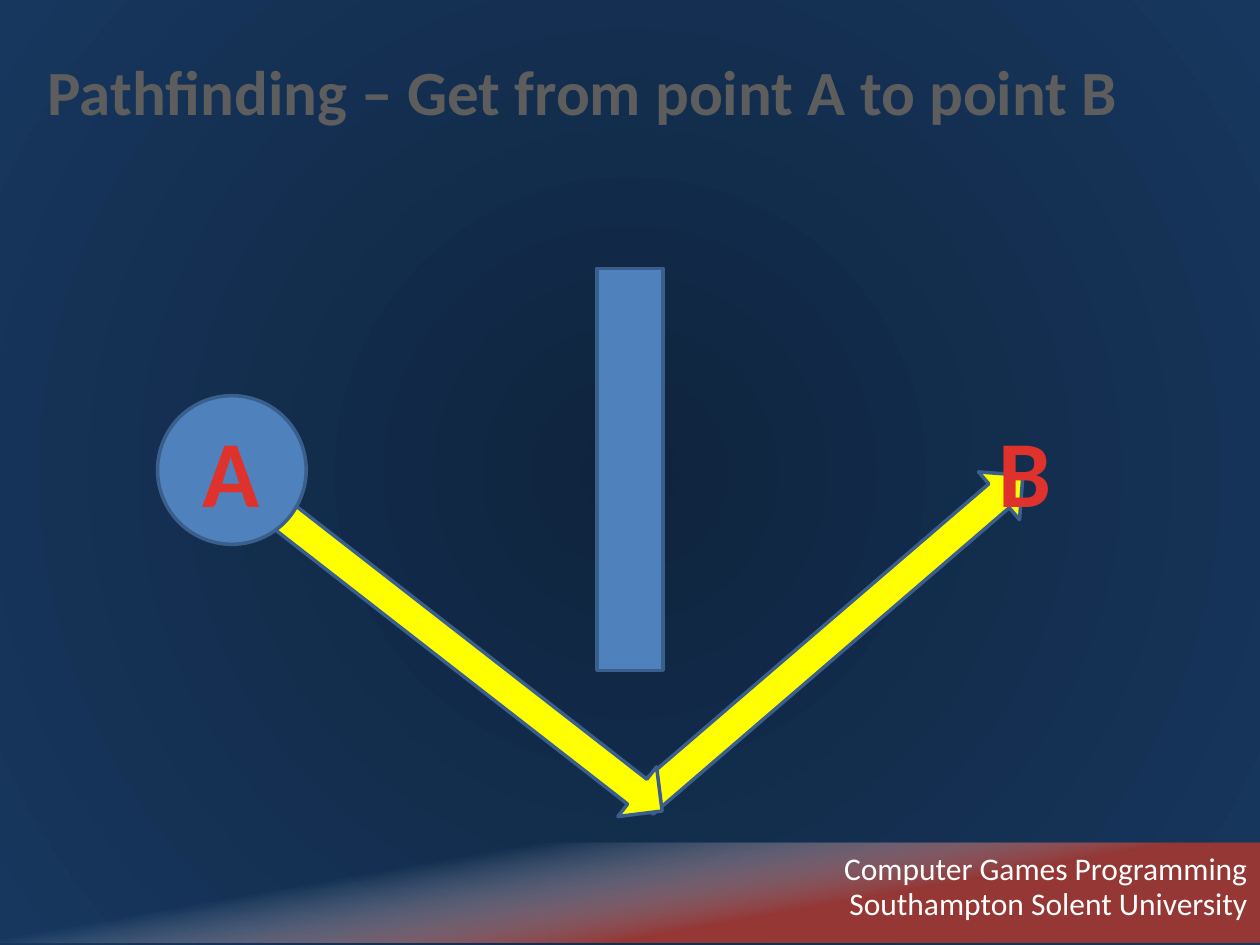
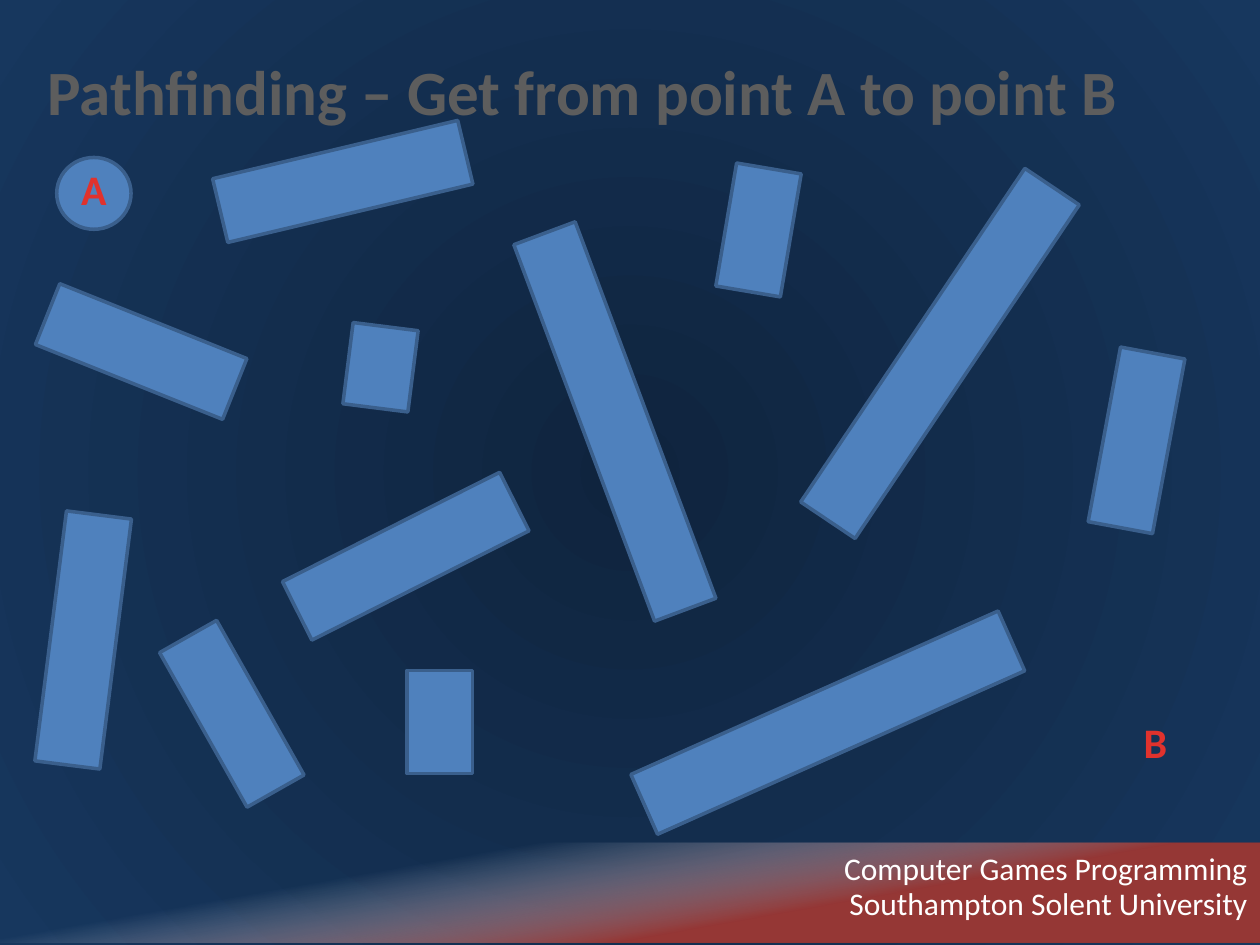
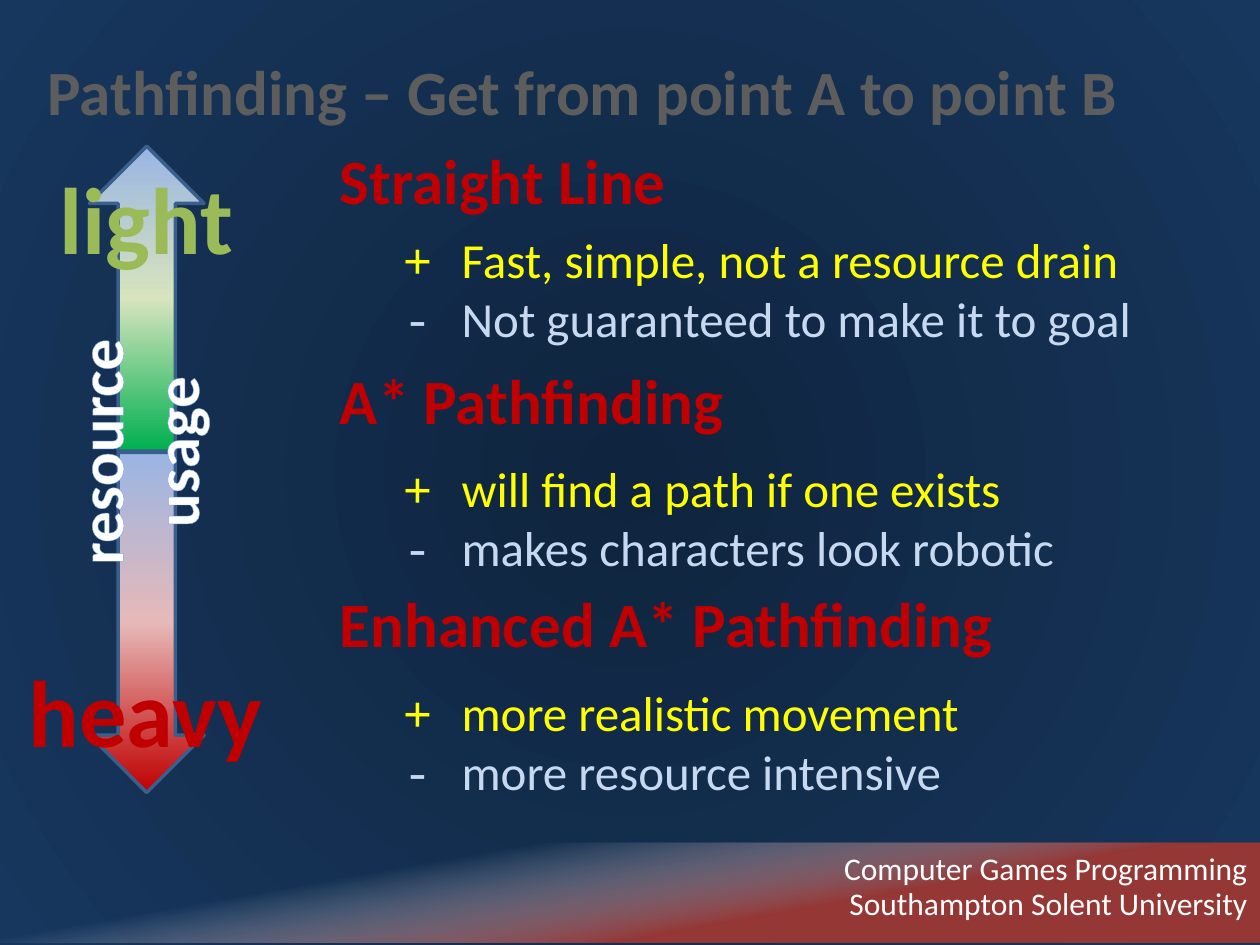
from lxml.etree import SubElement
from pptx import Presentation
from pptx.dml.color import RGBColor
from pptx.enum.shapes import MSO_SHAPE as Shape
from pptx.enum.text import MSO_AUTO_SIZE as AutoSize, PP_ALIGN as Align
from pptx.oxml.ns import qn
from pptx.oxml.xmlchemy import OxmlElement
from pptx.util import Inches, Pt

COLUMNS, ROWS = 100, 75
BLUE, EDGE, YELLOW, PALE = "4F81BD", "3A5F8C", "FFFF00", "C6D9F1"
WHITE, GREEN, RED, GLOW = "FFFFFF", "9BBB59", "C00000", "7EA6EA"
WALL_WIDTH = 5.2
TITLE = "Pathfinding – Get from point A to point B"
FOOTER = [("Computer Games Programming", 65.6, 66.9, 34.4),
          ("Southampton Solent University", 64.8, 69.7, 35.2)]

NIGHT = [(0, "0F243E"), (100, "17375E")]
BAND = [(31, "DCE6F2", 0), (65, "953735")]
GREY_TEXT = [(0, "555555"), (49, "5D5D5D"), (50, "000000"), (100, "000000")]
RED_TEXT = [(0, "FF0000"), (49, RED), (100, RED)]
POINT_TEXT = [(25, "E0322D"), (100, "A2201C")]
LIGHT_USAGE = [(0, "9AB5E4"), (50, "D7E4BD"), (100, "00B050")]
HEAVY_USAGE = [(0, "9AB5E4"), (50, "E6B9B8"), (100, RED)]

# Each style: font attributes, fill (a colour or gradient stops), outline (colour, points)
STYLES = {
    "title": (dict(size=Pt(36), bold=True), GREY_TEXT, (WHITE, 1.4)),
    "heading": (dict(size=Pt(36), bold=True), RED_TEXT, (WHITE, 1.4)),
    "point": (dict(size=Pt(54), bold=True), POINT_TEXT, None),
    "small point": (dict(size=Pt(24), bold=True), POINT_TEXT, None),
    "pro": (dict(size=Pt(28)), YELLOW, None),
    "con": (dict(size=Pt(28)), PALE, None),
    "axis": (dict(size=Pt(36), bold=True), WHITE, (GLOW, 2.48)),
    "light": (dict(size=Pt(54), bold=True), GREEN, (WHITE, 1.5)),
    "heavy": (dict(size=Pt(54), bold=True), RED, (WHITE, 1.5)),
    "footer": (dict(size=Pt(18)), WHITE, None),
}


def colour(code):
    return RGBColor.from_string(code)


def paint(fill, owner, look, angle=90):
    """Fill with one colour, or with gradient stops; no angle makes the gradient circular."""
    fill.solid()
    if isinstance(look, str):
        fill.fore_color.rgb = colour(look)
        return
    gradient = OxmlElement("a:gradFill")
    gradient.set("rotWithShape", "1")
    stops = SubElement(gradient, qn("a:gsLst"))
    for position, code, *alpha in look:
        stop = SubElement(stops, qn("a:gs"), pos=str(position * 1000))
        tone = SubElement(stop, qn("a:srgbClr"), val=code)
        for share in alpha:
            SubElement(tone, qn("a:alpha"), val=str(share * 1000))
    if angle is None:
        circle = SubElement(gradient, qn("a:path"))
        circle.set("path", "circle")
        SubElement(circle, qn("a:fillToRect"), l="50000", t="50000", r="50000", b="50000")
    else:
        SubElement(gradient, qn("a:lin"), ang=str(angle * 60000), scaled="0")
    plain = next(owner.iter(qn("a:solidFill")))
    plain.getparent().replace(plain, gradient)


class Lesson:
    """The deck, its shared style and the slide being filled."""

    def __init__(self):
        self.deck = Presentation()
        self.deck.slide_width, self.deck.slide_height = Inches(10), Inches(7.5)
        master = self.deck.slide_master
        paint(master.background.fill, master.element, NIGHT, angle=None)

    def place(self, left, top, width, height):
        """Turn grid columns and rows into slide lengths."""
        column, row = self.deck.slide_width / COLUMNS, self.deck.slide_height / ROWS
        return (round(left * column), round(top * row),
                round(width * column), round(height * row))

    def start(self):
        page = self.deck.slides.add_slide(self.deck.slide_layouts[6])
        self.shapes = page.shapes
        self.text(TITLE, "title", 2.8, 3.7, 94.2, 7.1)

    def finish(self):
        """Add the footer band with its two lines as one group."""
        self.shapes = self.shapes.add_group_shape().shapes
        self.shape(Shape.RECTANGLE, BAND, -3.5, 66.9, 104.7, 7.9, angle=80, edged=False)
        for line, left, top, width in FOOTER:
            self.text(line, "footer", left, top, width, 4, Align.RIGHT, wrap=False)

    def shape(self, kind, look, *area, turn=0, angle=90, edged=True):
        shape = self.shapes.add_shape(kind, *self.place(*area))
        shape.shadow.inherit = False
        shape.rotation = turn
        paint(shape.fill, shape.element, look, angle)
        if edged:
            shape.line.color.rgb = colour(EDGE)
            shape.line.width = Pt(2)
        else:
            shape.line.fill.background()

    def wall(self, left, top, length, turn=0):
        self.shape(Shape.RECTANGLE, BLUE, left, top, WALL_WIDTH, length, turn=turn)

    def frame(self, *area, wrap=True):
        frame = self.shapes.add_textbox(*self.place(*area)).text_frame
        frame.word_wrap = wrap
        frame.auto_size = AutoSize.SHAPE_TO_FIT_TEXT
        return frame

    def span(self, para, words, style, face="Calibri"):
        attributes, look, outline = STYLES[style]
        span = para.add_run()
        span.text = words
        for name, value in dict(attributes, name=face).items():
            setattr(span.font, name, value)
        properties = span.font._element
        paint(span.font.fill, properties, look)
        if look is POINT_TEXT:
            properties.set("spc", "50")
        if outline:
            code, points = outline
            line = OxmlElement("a:ln")
            line.set("w", str(Pt(points)))
            SubElement(SubElement(line, qn("a:solidFill")), qn("a:srgbClr"), val=code)
            properties.insert(0, line)

    def text(self, lines, style, left, top, width, height,
             align=Align.LEFT, wrap=True, vertical=False):
        frame = self.frame(left, top, width, height, wrap=wrap)
        if vertical:
            frame._txBody.bodyPr.set("vert", "vert270")
        for number, words in enumerate(lines.split("\n")):
            para = frame.add_paragraph() if number else frame.paragraphs[0]
            para.alignment = align
            self.span(para, words, style)

    def label(self, words, style, *area, vertical=False):
        self.text(words, style, *area, Align.CENTER, wrap=False, vertical=vertical)

    def method(self, heading, heading_top, list_top, pro, con):
        """A pathfinding method with its advantage and its drawback."""
        self.text(heading, "heading", 26, heading_top, 73.3, 7.1)
        frame = self.frame(26, list_top, 73.3, 10.4)
        rows = [(frame.paragraphs[0], "+ ", pro, "pro"),
                (frame.add_paragraph(), "- ", con, "con")]
        for para, sign, words, style in rows:
            para.level = 1
            para._p.get_or_add_pPr().set("marL", str(Inches(0.5)))
            self.span(para, sign, style, "Courier New")
            self.span(para, words, style)


def one_obstacle(lesson):
    lesson.start()
    for left, top, length, turn in [(46.2, 48.2, 39.8, 319.3), (13.9, 48.6, 43.2, 37.9)]:
        lesson.shape(Shape.RIGHT_ARROW, YELLOW, left, top, length, 5, turn=turn)
    lesson.shape(Shape.OVAL, BLUE, 12.5, 31.4, 11.8, 11.8)
    lesson.label("A", "point", 15, 32.3, 6.7, 10.1)
    lesson.label("B", "point", 78.2, 32.3, 6.3, 10.1)
    lesson.wall(47.4, 21.3, 31.9)
    lesson.finish()


def many_obstacles(lesson):
    lesson.start()
    lesson.shape(Shape.OVAL, BLUE, 4.5, 12.5, 5.9, 5.7)
    lesson.label("A", "small point", 5.4, 12.5, 4.1, 5)
    lesson.label("B", "small point", 89.7, 56.4, 4, 5)
    walls = [
        (46.2, 17.5, 31.9, 339.5), (63.1, 41.4, 31.9, 246), (32.3, 53.2, 8.2, 0),
        (72, 12.1, 31.9, 33.9), (57.6, 13.3, 9.9, 9.6), (29.6, 34.5, 19.3, 63.3),
        (8.6, 19.9, 16, 111.8), (24.6, 4.4, 20, 76.6), (4, 40.8, 20, 7.2),
        (27.6, 25.9, 6.5, 7.2), (15.8, 49.6, 14.1, 330.5), (87.6, 27.9, 14.1, 10.5),
    ]
    for wall in walls:
        lesson.wall(*wall)
    lesson.finish()


def compare_methods(lesson):
    lesson.start()
    lesson.method("Straight Line", 10.7, 17.7,
                  "Fast, simple, not a resource drain", "Not guaranteed to make it to goal")
    lesson.method("A* Pathfinding", 28.2, 35.9,
                  "will find a path if one exists", "makes characters look robotic")
    lesson.method("Enhanced A* Pathfinding", 45.9, 53.7,
                  "more realistic movement", "more resource intensive")
    lesson.shape(Shape.DOWN_ARROW, HEAVY_USAGE, 7.1, 35.9, 9.1, 27)
    lesson.shape(Shape.UP_ARROW, LIGHT_USAGE, 7.1, 11.6, 9.1, 24.2)
    lesson.label("resource\nusage", "axis", 4.3, 26.3, 14.1, 19.1, vertical=True)
    lesson.label("light", "light", 3.6, 12.2, 16, 10.1)
    lesson.label("heavy", "heavy", 1.2, 51.3, 20.7, 10.1)
    lesson.finish()


def main():
    lesson = Lesson()
    for build in (one_obstacle, many_obstacles, compare_methods):
        build(lesson)
    lesson.deck.save("out.pptx")


if __name__ == "__main__":
    main()
